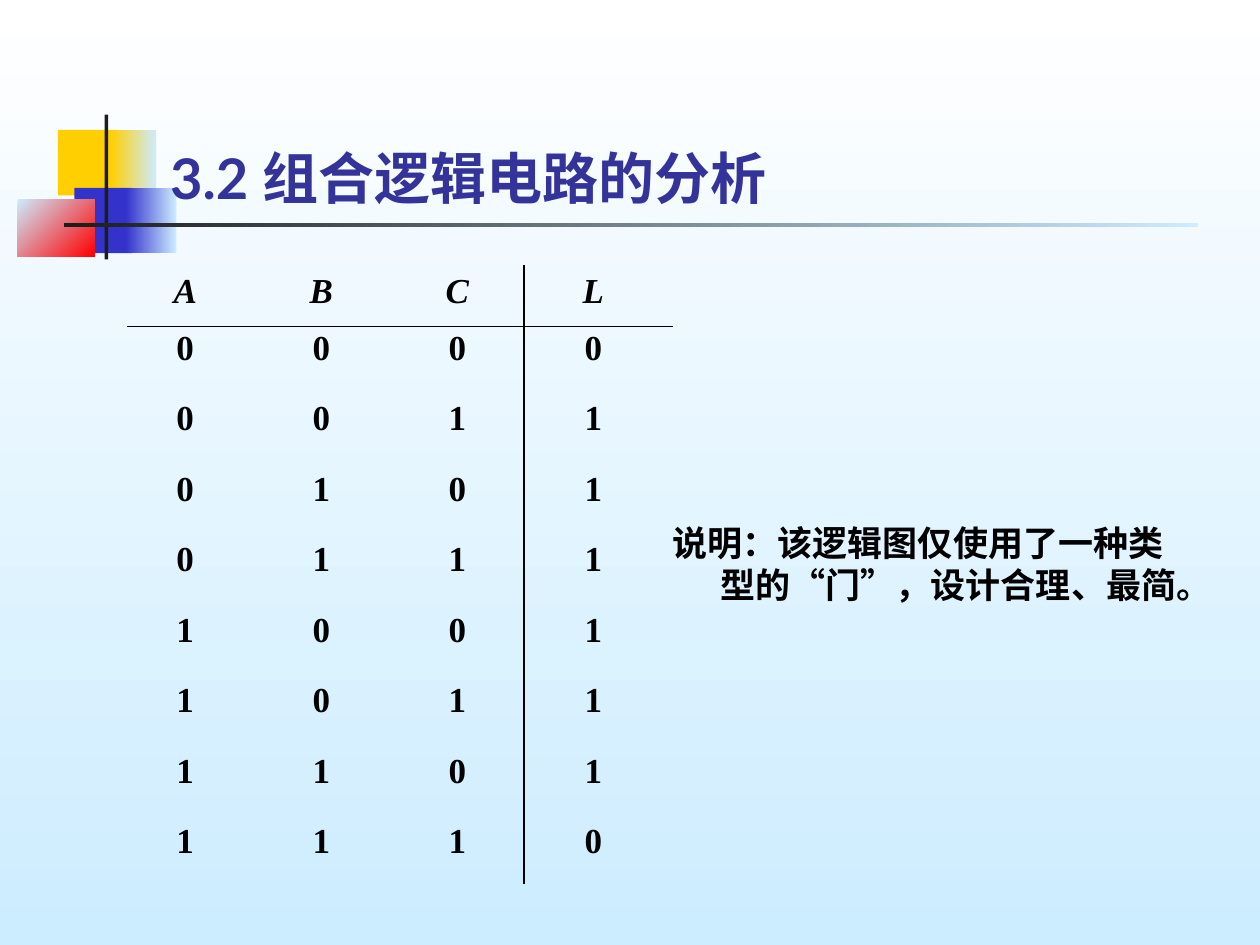
import dataclasses

import pptx
import pptx.dml.color
import pptx.enum.shapes
import pptx.enum.text
import pptx.oxml.ns
import pptx.util
from lxml import etree

Inches = pptx.util.Inches


@dataclasses.dataclass(frozen=True)
class Theme:
    white: str = "FFFFFF"
    sky: str = "CCECFF"
    yellow: str = "FFCF01"
    blue: str = "3333CC"
    red: str = "FF0000"
    charcoal: str = "1C1C1C"
    title: str = "333399"
    text: str = "000000"
    title_size: int = 32
    text_size: int = 20
    title_font: str = "Lato"
    chinese_font: str = "Noto Sans CJK SC"
    table_font: str = "Times New Roman"


THEME = Theme()
NO_GRID_STYLE = "{2D5ABB26-0587-4C30-8999-92F81FD0307C}"

# left, top, width, height, colours (two make a gradient), gradient angle
ORNAMENTS = [
    (0.46, 1.03, 0.48, 0.52, [THEME.yellow], 0),
    (0.88, 1.03, 0.36, 0.52, [THEME.yellow, THEME.sky], 0),
    (0.59, 1.49, 0.46, 0.52, [THEME.blue], 0),
    (1.00, 1.49, 0.40, 0.52, [THEME.blue, THEME.sky], 0),
    (0.14, 1.58, 0.61, 0.46, [THEME.sky, THEME.red], 45),
    (0.83, 0.91, 0.03, 1.15, [THEME.charcoal], 0),
    (0.51, 1.77, 9.00, 0.03, [THEME.charcoal, THEME.sky], 0),
]

HEADINGS = "ABCL"
TABLE_LEFT, TABLE_TOP = 0.93, 2.1
COLUMN_WIDTH, HEADING_HEIGHT, ROW_HEIGHT = 1.08, 0.49, 0.56


def color(value):
    return pptx.dml.color.RGBColor.from_string(value)


def paint(fill, colors, angle=0):
    """Fill with one colour, or a two-colour gradient turned clockwise."""
    if len(colors) == 1:
        fill.solid()
        fill.fore_color.rgb = color(colors[0])
        return
    fill.gradient()
    fill.gradient_angle = -angle % 360
    for stop, value in zip(fill.gradient_stops, colors):
        stop.color.rgb = color(value)


def format_runs(paragraph, size, font, value, italic=False):
    for run in paragraph.runs:
        run.font.size = pptx.util.Pt(size)
        run.font.name = font
        run.font.bold = True
        run.font.italic = italic
        run.font.color.rgb = color(value)
        east_asian = etree.SubElement(
            run.font._element, pptx.oxml.ns.qn("a:ea"))
        east_asian.set("typeface", THEME.chinese_font)


def add_ornament(slide, left, top, width, height, colors, angle):
    shape = slide.shapes.add_shape(
        pptx.enum.shapes.MSO_SHAPE.RECTANGLE,
        Inches(left), Inches(top), Inches(width), Inches(height))
    shape.shadow.inherit = False
    shape.line.fill.background()
    paint(shape.fill, colors, angle)


def set_title(slide, text):
    """Place the title in front of the ornaments."""
    title = slide.shapes.title
    slide.shapes._spTree.append(title._element)
    title.left, title.top = Inches(1.25), Inches(0.92)
    title.width, title.height = Inches(7.88), Inches(0.8)
    frame = title.text_frame
    frame.text = text
    frame.vertical_anchor = pptx.enum.text.MSO_ANCHOR.BOTTOM
    frame.paragraphs[0].alignment = pptx.enum.text.PP_ALIGN.LEFT
    format_runs(frame.paragraphs[0], THEME.title_size, THEME.title_font,
                THEME.title)


def add_note(slide, text):
    """Add a paragraph whose later lines hang to the right of the first."""
    box = slide.shapes.add_textbox(
        Inches(5.24), Inches(4.09), Inches(4.26), Inches(1.48))
    box.text_frame.word_wrap = True
    paragraph = box.text_frame.paragraphs[0]
    paragraph.text = text
    properties = paragraph._p.get_or_add_pPr()
    properties.set("marL", str(Inches(0.38)))
    properties.set("indent", str(Inches(-0.38)))
    format_runs(paragraph, THEME.text_size, THEME.chinese_font, THEME.text)


def fill_cell(cell, text, top_margin, italic):
    cell.text = text
    cell.fill.background()
    cell.margin_left = cell.margin_right = cell.margin_bottom = 0
    cell.margin_top = Inches(top_margin)
    paragraph = cell.text_frame.paragraphs[0]
    paragraph.alignment = pptx.enum.text.PP_ALIGN.CENTER
    format_runs(paragraph, THEME.text_size, THEME.table_font, THEME.text,
                italic)


def add_truth_table(slide):
    """Tabulate L, which is 1 unless A, B and C are all equal."""
    rows = [list(HEADINGS)]
    for number in range(8):
        inputs = f"{number:03b}"
        rows.append([*inputs, str(int(len(set(inputs)) > 1))])
    height = HEADING_HEIGHT + ROW_HEIGHT * (len(rows) - 1)
    table = slide.shapes.add_table(
        len(rows), len(HEADINGS), Inches(TABLE_LEFT), Inches(TABLE_TOP),
        Inches(COLUMN_WIDTH * len(HEADINGS)), Inches(height)).table
    table.first_row = table.horz_banding = False
    table._tbl.tblPr.find(
        pptx.oxml.ns.qn("a:tableStyleId")).text = NO_GRID_STYLE
    for row_index, values in enumerate(rows):
        heading = row_index == 0
        table.rows[row_index].height = Inches(
            HEADING_HEIGHT if heading else ROW_HEIGHT)
        for column_index, value in enumerate(values):
            fill_cell(table.cell(row_index, column_index), value,
                      0.06 if heading else 0.02, heading)


def add_rule(slide, start_x, start_y, end_x, end_y):
    rule = slide.shapes.add_connector(
        pptx.enum.shapes.MSO_CONNECTOR.STRAIGHT,
        Inches(start_x), Inches(start_y), Inches(end_x), Inches(end_y))
    rule.line.color.rgb = color(THEME.text)
    rule.line.width = pptx.util.Pt(0.75)
    etree.SubElement(rule._element.spPr, pptx.oxml.ns.qn("a:effectLst"))


def main():
    presentation = pptx.Presentation()
    presentation.slide_width = Inches(10)
    presentation.slide_height = Inches(7.5)
    slide = presentation.slides.add_slide(presentation.slide_layouts[5])
    paint(slide.background.fill, [THEME.white, THEME.sky], 90)
    for ornament in ORNAMENTS:
        add_ornament(slide, *ornament)
    set_title(slide, "3.2 组合逻辑电路的分析")
    add_note(slide, "说明：该逻辑图仅使用了一种类型的“门”，设计合理、最简。")
    add_truth_table(slide)
    heading_bottom = TABLE_TOP + HEADING_HEIGHT
    add_rule(slide, 1.01, heading_bottom, 5.34, heading_bottom)
    add_rule(slide, 4.16, TABLE_TOP, 4.16, 7.02)
    presentation.save("out.pptx")


if __name__ == "__main__":
    main()
